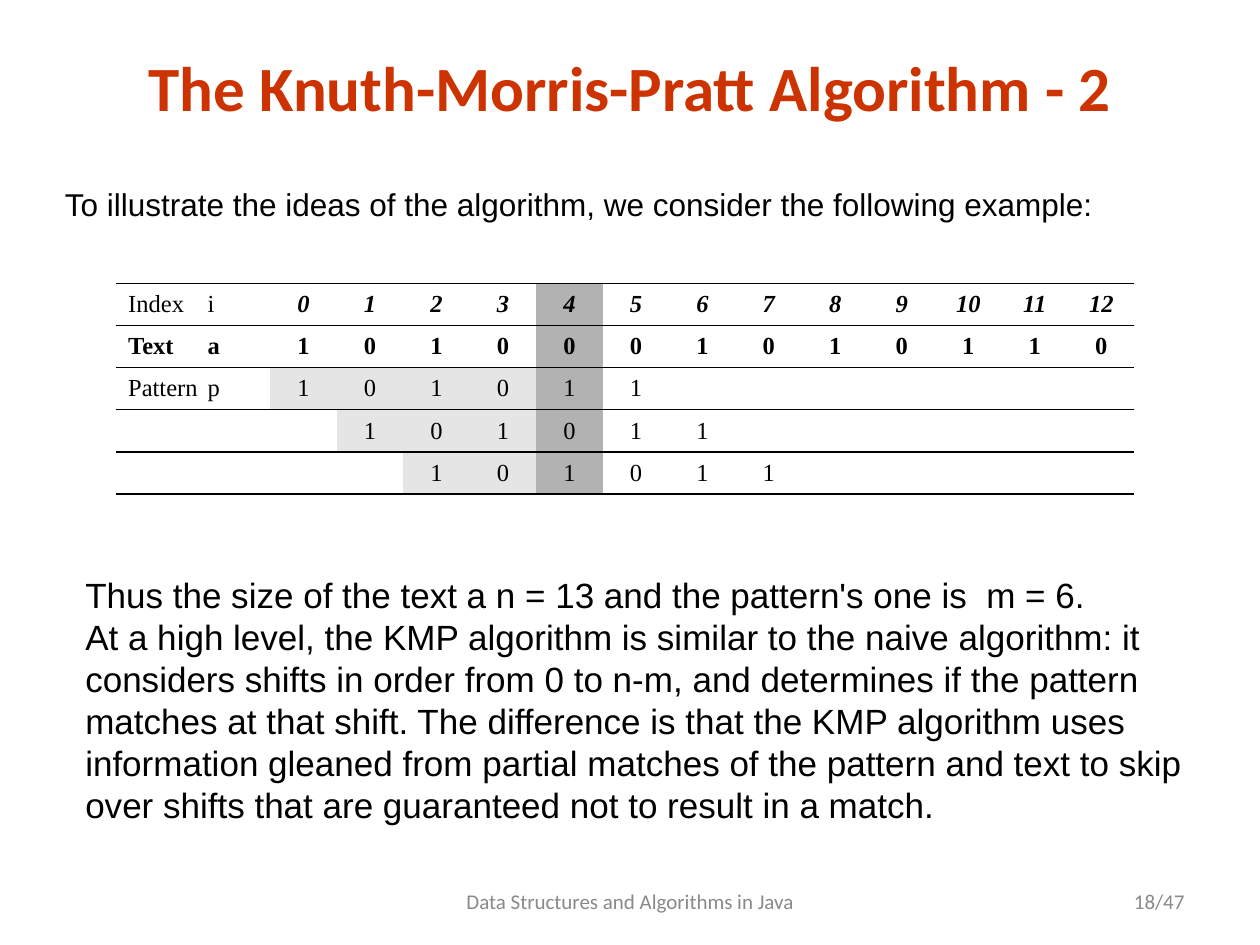
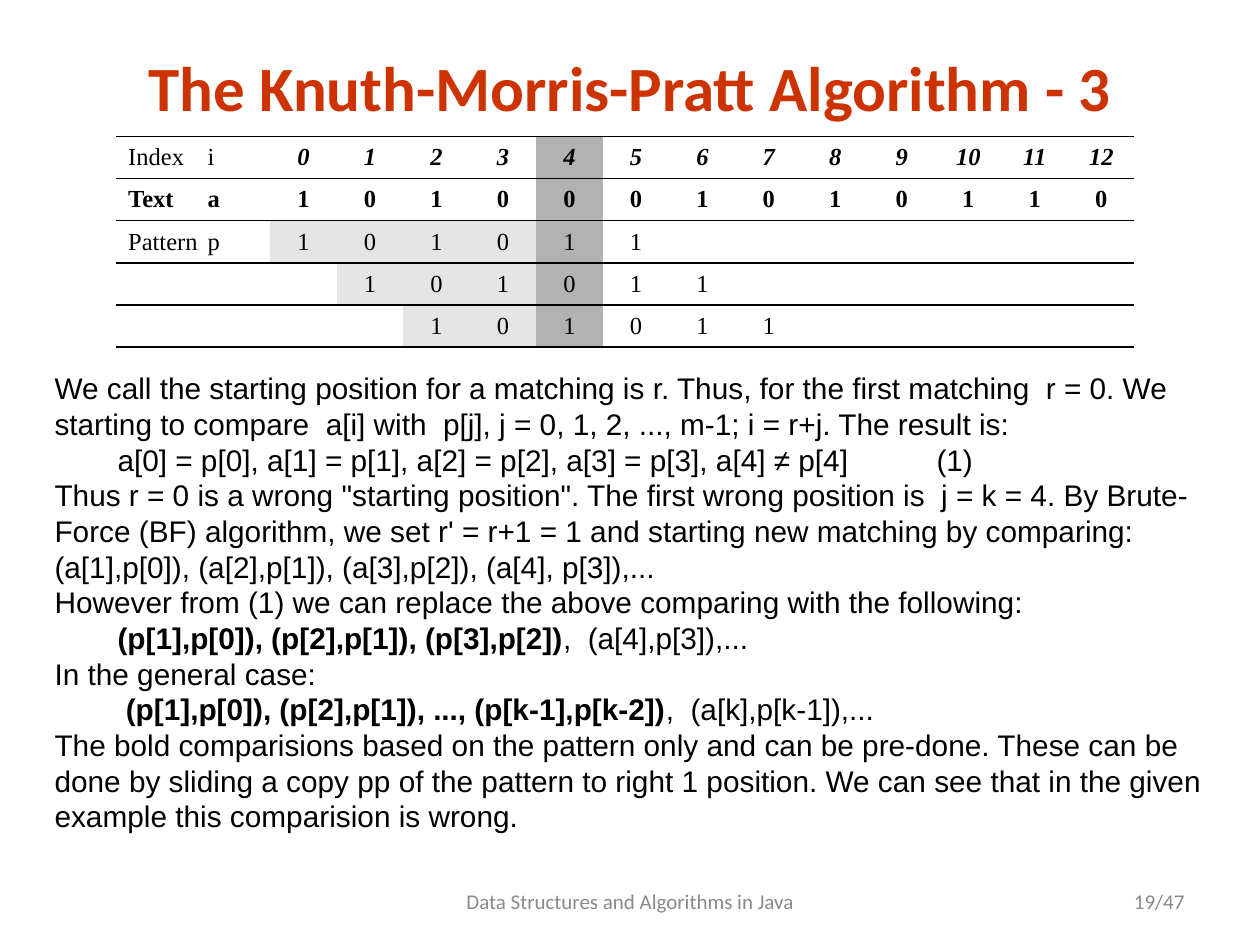
"""Build two slides on the Knuth-Morris-Pratt algorithm."""
from dataclasses import dataclass

import pptx
import pptx.dml.color
import pptx.enum.text
import pptx.util
from lxml import etree
from pptx.oxml.ns import qn

Cm = pptx.util.Cm
Pt = pptx.util.Pt
Align = pptx.enum.text.PP_ALIGN
Anchor = pptx.enum.text.MSO_ANCHOR


@dataclass(frozen=True)
class Theme:
    title_font: str = "Calibri"
    body_font: str = "Arial"
    table_font: str = "Times New Roman"
    title_size: int = 36
    table_size: int = 14
    footer_size: int = 12
    line_ratio: float = 1.2
    title: str = "CC3300"
    ink: str = "000000"
    footer: str = "898989"
    paper: str = "FFFFFF"
    match: str = "E5E5E5"
    mismatch: str = "B2B2B2"


THEME = Theme()
FOOTER = "Data Structures and Algorithms in Java"
PAGE_COUNT = 47

TEXT = "1010001010110"
PATTERN = "101011"
SHIFTS = (0, 1, 2)
MISMATCH = 4
LABELS = ("Index\ti", "Text\ta", "Pattern\tp")

TITLE_AREA = (1.27, 0.84, 22.86, 1.78)
FOOTER_AREA = (8.68, 17.65, 8.05, 1.02)
NUMBER_AREA = (18.21, 17.65, 5.92, 1.02)
TABLE_LEFT, LABEL_WIDTH, DIGIT_WIDTH, ROW_HEIGHT = 2.33, 3.12, 1.34, 0.85
SYMBOL_STOP = 1.6

PAGES = [
    {
        "number": 18,
        "title": "The Knuth-Morris-Pratt Algorithm - 2",
        "table_top": 5.71,
        "texts": [
            {"area": (1.06, 3.6, 22.86, 1.02), "size": 18, "paras": [
                "To illustrate the ideas of the algorithm, we consider the following example:",
            ]},
            {"area": (1.47, 11.43, 22.86, 5.33), "size": 20, "paras": [
                "Thus the size of the text a n = 13 and the pattern's one is  m = 6.",
                "At a high level, the KMP algorithm is similar to the naive algorithm: it "
                "considers shifts in order from 0 to n-m, and determines if the pattern "
                "matches at that shift. The difference is that the KMP algorithm uses "
                "information gleaned from partial matches of the pattern and text to skip "
                "over shifts that are guaranteed not to result in a match.",
            ]},
        ],
    },
    {
        "number": 19,
        "title": "The Knuth-Morris-Pratt Algorithm - 3",
        "table_top": 2.75,
        "texts": [
            {"area": (0.85, 7.34, 23.92, 9.6), "size": 17, "paras": [
                "We call the starting position for a matching is r. Thus, for the first "
                "matching  r = 0. We starting to compare  a[i] with  p[j], j = 0, 1, 2, ..., "
                "m-1; i = r+j. The result is:",
                "\ta[0] = p[0], a[1] = p[1], a[2] = p[2], a[3] = p[3], a[4] ≠ p[4]\t\t(1)",
                "Thus r = 0 is a wrong \"starting position\". The first wrong position is  "
                "j = k = 4. By Brute-Force (BF) algorithm, we set r' = r+1 = 1 and starting "
                "new matching by comparing:",
                "(a[1],p[0]), (a[2],p[1]), (a[3],p[2]), (a[4], p[3]),...",
                "However from (1) we can replace the above comparing with the following:",
                ("\t(p[1],p[0]), (p[2],p[1]), (p[3],p[2])", ",  (a[4],p[3]),..."),
                "In the general case:",
                ("\t (p[1],p[0]), (p[2],p[1]), ..., (p[k-1],p[k-2])", ",  (a[k],p[k-1]),..."),
                "The bold comparisions based on the pattern only and can be pre-done. These "
                "can be done by sliding a copy pp of the pattern to right 1 position. We can "
                "see that in the given example this comparision is wrong.",
            ]},
        ],
    },
]


def color(value):
    return pptx.dml.color.RGBColor.from_string(value)


def style(para, font, size, ink, align=Align.LEFT, bold=False, italic=False):
    para.alignment = align
    para.font.name, para.font.size = font, Pt(size)
    para.font.bold, para.font.italic = bold, italic
    para.font.color.rgb = color(ink)


def lengths(area):
    return [Cm(value) for value in area]


def add_title(page, text):
    box = page.shapes.title
    box.left, box.top, box.width, box.height = lengths(TITLE_AREA)
    frame = box.text_frame
    frame.text = text
    frame.auto_size = pptx.enum.text.MSO_AUTO_SIZE.NONE
    frame.vertical_anchor = Anchor.MIDDLE
    style(frame.paragraphs[0], THEME.title_font, THEME.title_size, THEME.title,
          Align.CENTER, bold=True)


def add_footer(page, area, text, align):
    frame = page.shapes.add_textbox(*lengths(area)).text_frame
    frame.word_wrap = True
    frame.vertical_anchor = Anchor.MIDDLE
    frame.text = text
    style(frame.paragraphs[0], THEME.title_font, THEME.footer_size, THEME.footer, align)


def add_text(page, area, size, paras):
    frame = page.shapes.add_textbox(*lengths(area)).text_frame
    frame.word_wrap = True
    for index, content in enumerate(paras):
        para = frame.add_paragraph() if index else frame.paragraphs[0]
        style(para, THEME.body_font, size, THEME.ink)
        para.line_spacing = Pt(size * THEME.line_ratio)
        if isinstance(content, str):
            para.text = content
        else:
            for text, bold in zip(content, (True, False)):
                span = para.add_run()
                span.text, span.font.bold = text, bold


def table_rows():
    rows = [[str(index) for index in range(len(TEXT))], list(TEXT)]
    for shift in SHIFTS:
        rows.append(list((" " * shift + PATTERN).ljust(len(TEXT))))
    labels = LABELS + ("",) * (len(rows) - len(LABELS))
    return [[label] + [digit.strip() for digit in row] for label, row in zip(labels, rows)]


def cell_fill(row, column, text):
    if column == MISMATCH + 1:
        return THEME.mismatch
    if row >= 2 and text and 0 < column <= MISMATCH:
        return THEME.match
    return THEME.paper


def set_borders(cell):
    properties = cell._tc.get_or_add_tcPr()
    for position, side in enumerate(("lnL", "lnR", "lnT", "lnB")):
        line = etree.Element(qn("a:" + side), w=str(Pt(1)))
        if side in ("lnT", "lnB"):
            fill = etree.SubElement(line, qn("a:solidFill"))
            etree.SubElement(fill, qn("a:srgbClr"), val=THEME.ink)
        else:
            etree.SubElement(line, qn("a:noFill"))
        properties.insert(position, line)


def set_tab_stop(para, distance):
    stops = etree.Element(qn("a:tabLst"))
    etree.SubElement(stops, qn("a:tab"), pos=str(Cm(distance)), algn="l")
    para._p.get_or_add_pPr().insert(0, stops)


def add_matching_table(page, top):
    rows = table_rows()
    widths = [LABEL_WIDTH] + [DIGIT_WIDTH] * len(TEXT)
    area = (TABLE_LEFT, top, sum(widths), ROW_HEIGHT * len(rows))
    table = page.shapes.add_table(len(rows), len(widths), *lengths(area)).table
    table.first_row = table.horz_banding = False
    for column, width in zip(table.columns, widths):
        column.width = Cm(width)
    for row, texts in enumerate(rows):
        table.rows[row].height = Cm(ROW_HEIGHT)
        for column, text in enumerate(texts):
            cell = table.cell(row, column)
            cell.text = text
            cell.vertical_anchor = Anchor.MIDDLE
            cell.margin_top = cell.margin_bottom = 0
            cell.fill.solid()
            cell.fill.fore_color.rgb = color(cell_fill(row, column, text))
            set_borders(cell)
            is_index = row == 0 and column > 0
            para = cell.text_frame.paragraphs[0]
            style(para, THEME.table_font, THEME.table_size, THEME.ink,
                  Align.CENTER if column else Align.LEFT,
                  bold=is_index or row == 1, italic=is_index)
            if column == 0 and text:
                set_tab_stop(para, SYMBOL_STOP)


def main():
    deck = pptx.Presentation()
    deck.slide_width, deck.slide_height = Cm(25.4), Cm(19.05)
    for content in PAGES:
        page = deck.slides.add_slide(deck.slide_layouts.get_by_name("Title Only"))
        add_footer(page, FOOTER_AREA, FOOTER, Align.CENTER)
        add_footer(page, NUMBER_AREA, f"{content['number']}/{PAGE_COUNT}", Align.RIGHT)
        add_title(page, content["title"])
        add_matching_table(page, content["table_top"])
        for text in content["texts"]:
            add_text(page, **text)
    deck.save("out.pptx")


if __name__ == "__main__":
    main()
